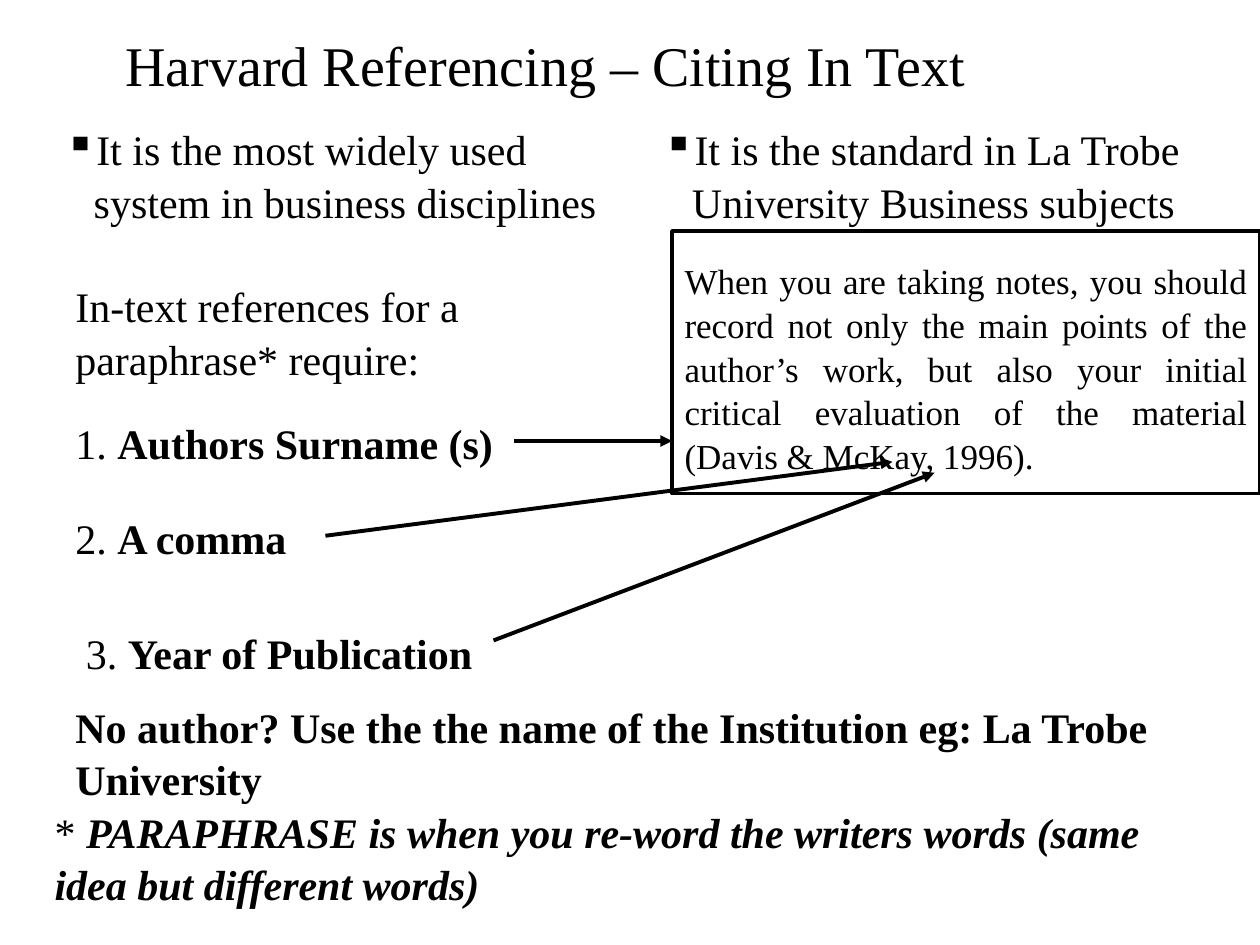
import pptx
import pptx.dml.color
import pptx.enum.shapes
import pptx.enum.text
import pptx.util
from lxml import etree
from pptx.oxml.ns import qn

Cm = pptx.util.Cm
Pt = pptx.util.Pt
ALIGN = pptx.enum.text.PP_ALIGN
ANCHOR = pptx.enum.text.MSO_ANCHOR

BLACK = pptx.dml.color.RGBColor(0x00, 0x00, 0x00)
FONT = "Times New Roman"
PLAIN, BOLD, BOLD_ITALIC = (False, False), (True, False), (True, True)
LINE_WIDTH = Pt(2.25)
BULLET_INDENT = Cm(0.58)
LINE_SPACING = 1.04


def add_bullet(paragraph):
    properties = paragraph._p.get_or_add_pPr()
    properties.set("marL", str(BULLET_INDENT))
    properties.set("indent", str(-BULLET_INDENT))
    etree.SubElement(properties, qn("a:buChar")).set("char", "▪")


def add_text(slide, box, runs, size=24, align=ALIGN.LEFT, anchor=ANCHOR.TOP,
             bullet=False):
    """Add a one-paragraph text box; runs are (text, (bold, italic)) pairs."""
    text_box = slide.shapes.add_textbox(*(Cm(length) for length in box))
    frame = text_box.text_frame
    frame.word_wrap = True
    frame.vertical_anchor = anchor
    paragraph = frame.paragraphs[0]
    if bullet:
        add_bullet(paragraph)
    paragraph.alignment = align
    paragraph.line_spacing = LINE_SPACING
    for text, (bold, italic) in runs:
        run = paragraph.add_run()
        run.text = text
        run.font.name = FONT
        run.font.size = Pt(size)
        run.font.color.rgb = BLACK
        run.font.bold = bold
        run.font.italic = italic


def add_arrow(slide, start, end):
    arrow = slide.shapes.add_connector(
        pptx.enum.shapes.MSO_CONNECTOR.STRAIGHT,
        *(Cm(length) for length in start + end))
    arrow.line.color.rgb = BLACK
    arrow.line.width = LINE_WIDTH
    line = arrow.line._get_or_add_ln()
    etree.SubElement(line, qn("a:tailEnd")).set("type", "triangle")
    etree.SubElement(arrow._element.spPr, qn("a:effectLst"))


def add_frame(slide, box):
    frame = slide.shapes.add_shape(pptx.enum.shapes.MSO_SHAPE.RECTANGLE,
                                   *(Cm(length) for length in box))
    frame.shadow.inherit = False
    frame.fill.background()
    frame.line.color.rgb = BLACK
    frame.line.width = LINE_WIDTH


def main():
    presentation = pptx.Presentation()
    presentation.slide_width = Cm(25.4)
    presentation.slide_height = Cm(19.05)
    slide = presentation.slides.add_slide(presentation.slide_layouts[6])

    # Title
    add_text(slide, (1.9, 0, 18.2, 2.54),
             [("Harvard Referencing – Citing In Text", PLAIN)],
             size=32, align=ALIGN.CENTER, anchor=ANCHOR.MIDDLE)

    # Opening bullets
    add_text(slide, (1.06, 2.33, 11.64, 2.29),
             [("It is the most widely used system in business disciplines", PLAIN)],
             bullet=True)
    add_text(slide, (13.12, 2.33, 11, 2.29),
             [("It is the standard in La Trobe University Business subjects", PLAIN)],
             bullet=True)

    # Example paragraph
    add_text(slide, (13.55, 5.08, 11.85, 4.5),
             [("When you are taking notes, you should record not only the main "
               "points of the author’s work, but also your initial critical "
               "evaluation of the material (Davis & McKay, 1996).", PLAIN)],
             size=20, align=ALIGN.JUSTIFY)

    # Parts of an in-text reference
    add_text(slide, (1.27, 5.5, 8.47, 2.29),
             [("In-text references for a paraphrase* require:", PLAIN)])
    requirements = [
        ("Authors Surname (s)", (1.27, 8.26, 9.74, 1.27)),
        ("A comma", (1.27, 10.16, 8.26, 1.27)),
        ("Year of Publication", (1.48, 12.49, 9.1, 1.27)),
    ]
    for number, (requirement, box) in enumerate(requirements, start=1):
        add_text(slide, box, [(f"{number}. ", PLAIN), (requirement, BOLD)])

    # Footnote on paraphrasing
    add_text(slide, (0.85, 16.09, 23.28, 2.29),
             [("* ", PLAIN),
              ("PARAPHRASE is when you re-word the writers words "
               "(same idea but different words)", BOLD_ITALIC)])

    # Arrows from each part to the example
    for start, end in [((6.56, 10.8), (17.99, 9.31)),
                       ((9.95, 12.91), (18.84, 9.53)),
                       ((10.37, 8.89), (13.55, 8.89))]:
        add_arrow(slide, start, end)

    # Frame around the example
    add_frame(slide, (13.55, 4.66, 11.85, 5.29))

    # Advice for works without an author
    add_text(slide, (1.27, 13.97, 22.23, 2.29),
             [("No author? Use the the name of the Institution eg: "
               "La Trobe University", BOLD)])

    presentation.save("out.pptx")


if __name__ == "__main__":
    main()
